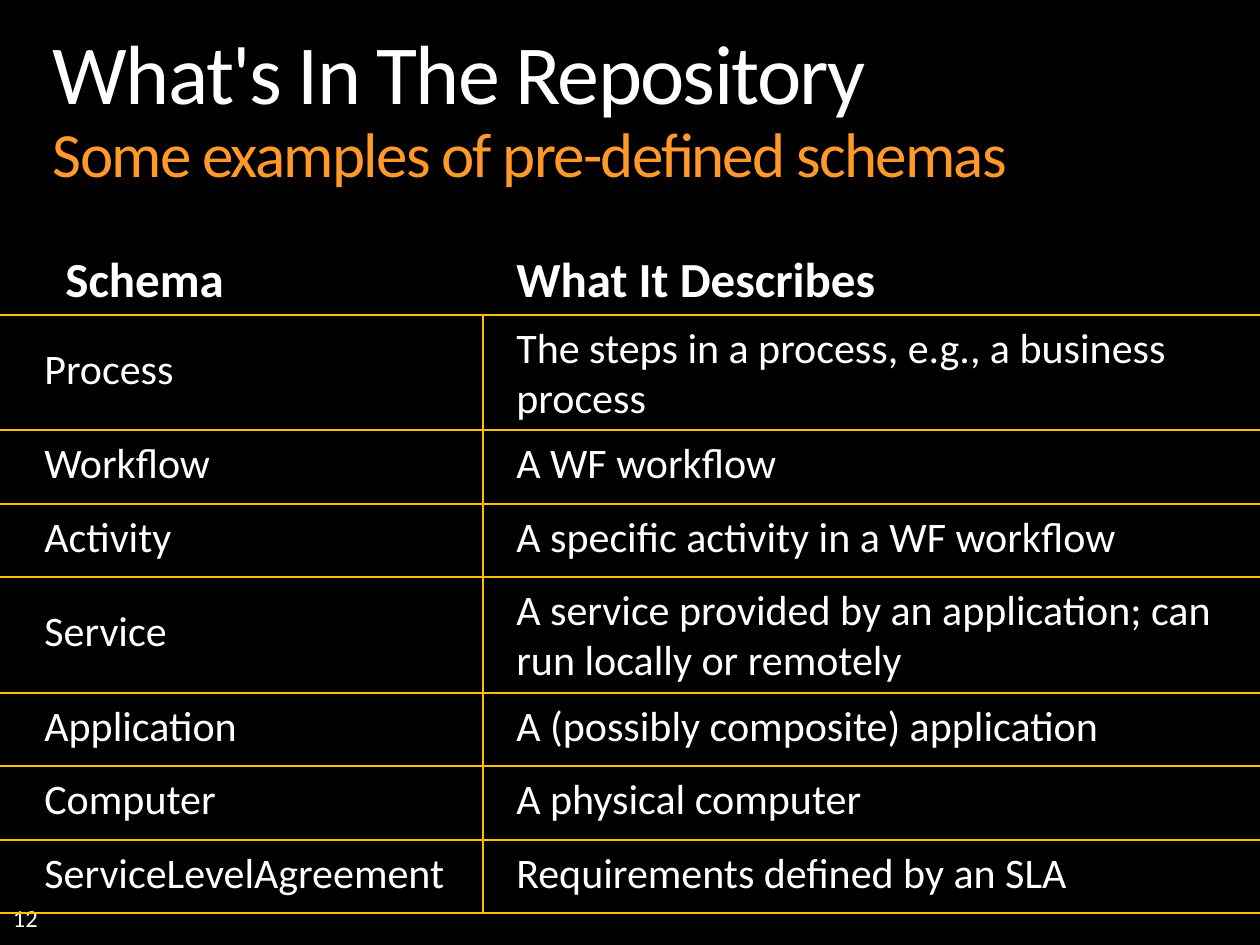
from lxml import etree
from pptx import Presentation
from pptx import util as u
from pptx.dml.color import RGBColor
from pptx.enum import shapes, text
from pptx.oxml.ns import qn

PX = 914400 // 126
WIDE, HIGH = 1260, 945
FONT = "Calibri"
HUES = {"back": "000000", "text": "FFFFFF", "sub": "FF9929", "rule": "FFC000"}

TITLE = [("What's In The Repository", 48, "text"),
         ("Some examples of pre-defined schemas", 36, "sub")]
HEADS = [("Schema", 53, 185), ("What It Describes", 504, 388)]
# schema, description, number of text lines
ROWS = [
    ("Process", "The steps in a process, e.g., a business process", 2),
    ("Workflow", "A WF workflow", 1),
    ("Activity", "A specific activity in a WF workflow", 1),
    ("Service", "A service provided by an application; can run locally or remotely", 2),
    ("Application", "A (possibly composite) application", 1),
    ("Computer", "A physical computer", 1),
    ("ServiceLevelAgreement", "Requirements defined by an SLA", 1),
]
PAGE = "12"
TOP, LEFT, RIGHT, SPLIT = 315, 32, 504, 483
UNITS = {1: 7, 2: 11}  # row heights in twelfths of an inch
TALL = {1: 63, 2: 115}  # text box heights


def hue(name):
    """Return a named colour."""
    return RGBColor.from_string(HUES[name])


def style(run, size, color="text", bold=False):
    """Format one run."""
    font = run.font
    font.name, font.size, font.bold = FONT, u.Pt(size), bold
    font.color.rgb = hue(color)


def trim(frame):
    """Remove the margins of a text frame."""
    frame.margin_left = frame.margin_right = 0
    frame.margin_top = frame.margin_bottom = 0


def label(words, x, y, w, h, size=24, bold=False, wrap=False, foot=False):
    """Add a text box; foot drops margins and anchors the text low."""
    frame = slide.shapes.add_textbox(x * PX, y * PX, w * PX, h * PX).text_frame
    frame.word_wrap = wrap
    if foot:
        trim(frame)
        frame.vertical_anchor = text.MSO_ANCHOR.BOTTOM
    run = frame.paragraphs[0].add_run()
    run.text = words
    style(run, size, bold=bold)


def rule(x1, y1, x2, y2):
    """Draw a thin line."""
    line = slide.shapes.add_connector(
        shapes.MSO_CONNECTOR.STRAIGHT, x1 * PX, y1 * PX, x2 * PX, y2 * PX)
    line.line.color.rgb = hue("rule")
    line.line.width = u.Pt(0.75)
    etree.SubElement(line._element.spPr, qn("a:effectLst"))


def head():
    """Place and fill the two-line title."""
    title = slide.shapes.title
    title.left, title.top, title.width, title.height = (
        n * PX for n in (53, 32, 1154, 160))
    frame = title.text_frame
    trim(frame)
    frame.word_wrap = True
    frame.auto_size = text.MSO_AUTO_SIZE.NONE
    frame.vertical_anchor = text.MSO_ANCHOR.TOP
    para = frame.paragraphs[0]
    para.alignment = text.PP_ALIGN.LEFT
    para.line_spacing = 0.9
    for i, (words, size, color) in enumerate(TITLE):
        if i:
            para.add_line_break()
        run = para.add_run()
        run.text = words
        style(run, size, color)
        run._r.get_or_add_rPr().set("spc", "-100")


deck = Presentation()
deck.slide_width, deck.slide_height = WIDE * PX, HIGH * PX
slide = deck.slides.add_slide(deck.slide_layouts[5])
slide.background.fill.solid()
slide.background.fill.fore_color.rgb = hue("back")

head()
label(PAGE, 13, 882, 294, 50, size=14, wrap=True, foot=True)
for words, x, w in HEADS:
    label(words, x, 242, w, 72, size=28, bold=True)

rule(0, TOP, WIDE, TOP)
units = 0
for schema, about, lines in ROWS:
    y = TOP + units * 21 // 2
    label(schema, LEFT, y + 21 * (lines - 1), 430, 63)
    label(about, RIGHT, y, WIDE - RIGHT, TALL[lines], wrap=True)
    units += UNITS[lines]
    end = TOP + units * 21 // 2
    rule(0, end, WIDE, end)
rule(SPLIT, TOP, SPLIT, end)

deck.save("out.pptx")
